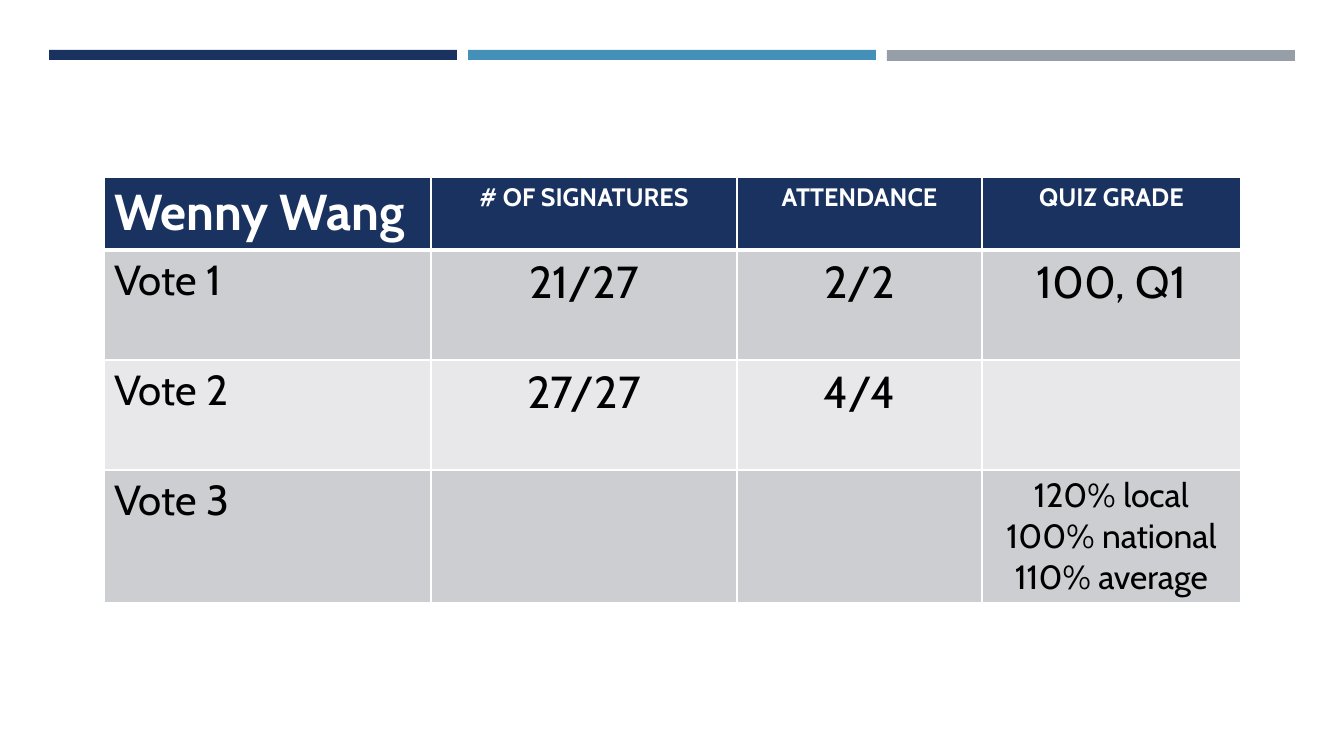
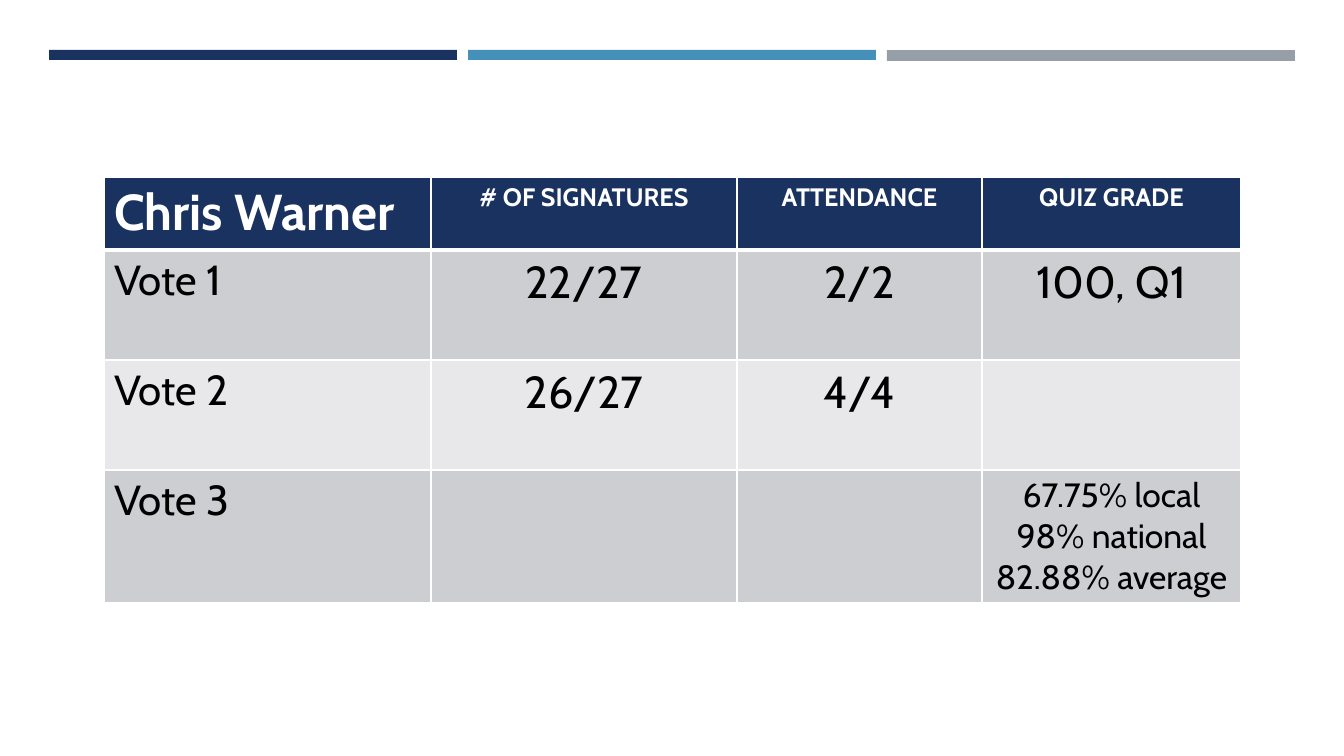
from dataclasses import dataclass

from lxml import etree
from pptx import Presentation
from pptx.dml.color import RGBColor
from pptx.enum.shapes import MSO_SHAPE
from pptx.enum.text import PP_ALIGN
from pptx.oxml.ns import qn
from pptx.util import Pt

RECT = MSO_SHAPE.RECTANGLE
LEFT, CENTER = PP_ALIGN.LEFT, PP_ALIGN.CENTER
EMU_PER_PX = 12192000 / 1344
BLANK_LAYOUT = 6


@dataclass(frozen=True)
class Theme:
    font: str = "Cabin"
    navy: str = "1A3260"
    blue: str = "4590B8"
    gray: str = "969FA7"
    band_dark: str = "CDCED2"
    band_light: str = "E8E8EA"
    white: str = "FFFFFF"
    black: str = "000000"
    name_size: int = 36
    heading_size: int = 18
    label_size: int = 30
    value_size: int = 32
    grade_size: int = 24
    border: int = 1
    header_border: int = 3


THEME = Theme()

# Shared table layout and wording
TABLE_LEFT, TABLE_TOP = 104, 177
COL_WIDTHS = (327, 306, 245, 259)
ROW_HEIGHTS = (73, 110, 110, 132)
HEADINGS = ("# OF SIGNATURES", "ATTENDANCE", "QUIZ GRADE")

# Name, then signatures, attendance and quiz grade for each vote
RECORDS = (
    ("Wenny Wang", (
        ("21/27", "2/2", "100, Q1"),
        ("27/27", "4/4", ""),
        ("", "", "120% local\n100% national\n110% average"))),
    ("Chris Warner", (
        ("22/27", "2/2", "100, Q1"),
        ("26/27", "4/4", ""),
        ("", "", "67.75% local\n98% national\n82.88% average"))),
)


def px(n):
    return round(n * EMU_PER_PX)


def rgb(color):
    return RGBColor.from_string(color)


def write(tf, text, size, color=THEME.black, bold=False, align=LEFT):
    """Write one paragraph for each line of text."""
    for i, line in enumerate(text.split("\n")):
        p = tf.paragraphs[0] if i == 0 else tf.add_paragraph()
        p.alignment = align
        r = p.add_run()
        r.text = line
        r.font.name = THEME.font
        r.font.size = Pt(size)
        r.font.bold = bold
        r.font.color.rgb = rgb(color)


def add_bar(slide, x, y, w, h, color):
    sp = slide.shapes.add_shape(RECT, px(x), px(y), px(w), px(h))
    sp.shadow.inherit = False
    sp.fill.solid()
    sp.fill.fore_color.rgb = rgb(color)
    sp.line.fill.background()


def add_top_bars(slide):
    left, width, gap = 49, 408, 11
    bars = ((THEME.navy, 10), (THEME.blue, 10), (THEME.gray, 11))
    for i, (color, height) in enumerate(bars):
        add_bar(slide, left + i * (width + gap), 50, width, height, color)


def style_cell(cell, color, top, bottom):
    """Give a cell its white borders, then its fill."""
    tc_pr = cell._tc.get_or_add_tcPr()
    widths = {"L": THEME.border, "R": THEME.border, "T": top, "B": bottom}
    for side, width in widths.items():
        ln = etree.SubElement(tc_pr, qn(f"a:ln{side}"), w=str(Pt(width)))
        fill = etree.SubElement(ln, qn("a:solidFill"))
        etree.SubElement(fill, qn("a:srgbClr"), val=THEME.white)
    cell.fill.solid()
    cell.fill.fore_color.rgb = rgb(color)


def fill_header(table, name):
    for col, text in enumerate((name, *HEADINGS)):
        cell = table.cell(0, col)
        style_cell(cell, THEME.navy, THEME.border, THEME.header_border)
        write(cell.text_frame, text,
              THEME.heading_size if col else THEME.name_size,
              color=THEME.white, bold=True, align=CENTER if col else LEFT)


def fill_vote(table, row, values):
    color = THEME.band_dark if row % 2 else THEME.band_light
    top = THEME.header_border if row == 1 else THEME.border
    for col, text in enumerate((f"Vote {row}", *values)):
        cell = table.cell(row, col)
        style_cell(cell, color, top, THEME.border)
        if not text:
            continue
        if col == 0:
            size = THEME.label_size
        else:
            size = THEME.grade_size if "\n" in text else THEME.value_size
        write(cell.text_frame, text, size, align=CENTER if col else LEFT)


def add_vote_table(slide, name, votes):
    frame = slide.shapes.add_table(
        len(ROW_HEIGHTS), len(COL_WIDTHS), px(TABLE_LEFT), px(TABLE_TOP),
        px(sum(COL_WIDTHS)), px(sum(ROW_HEIGHTS)))
    table = frame.table
    table.horz_banding = False
    for column, width in zip(table.columns, COL_WIDTHS):
        column.width = px(width)
    for row, height in zip(table.rows, ROW_HEIGHTS):
        row.height = px(height)
    fill_header(table, name)
    for row, values in enumerate(votes, start=1):
        fill_vote(table, row, values)


def main():
    prs = Presentation()
    prs.slide_width, prs.slide_height = px(1344), px(756)
    for name, votes in RECORDS:
        slide = prs.slides.add_slide(prs.slide_layouts[BLANK_LAYOUT])
        add_top_bars(slide)
        add_vote_table(slide, name, votes)
    prs.save("out.pptx")


if __name__ == "__main__":
    main()
